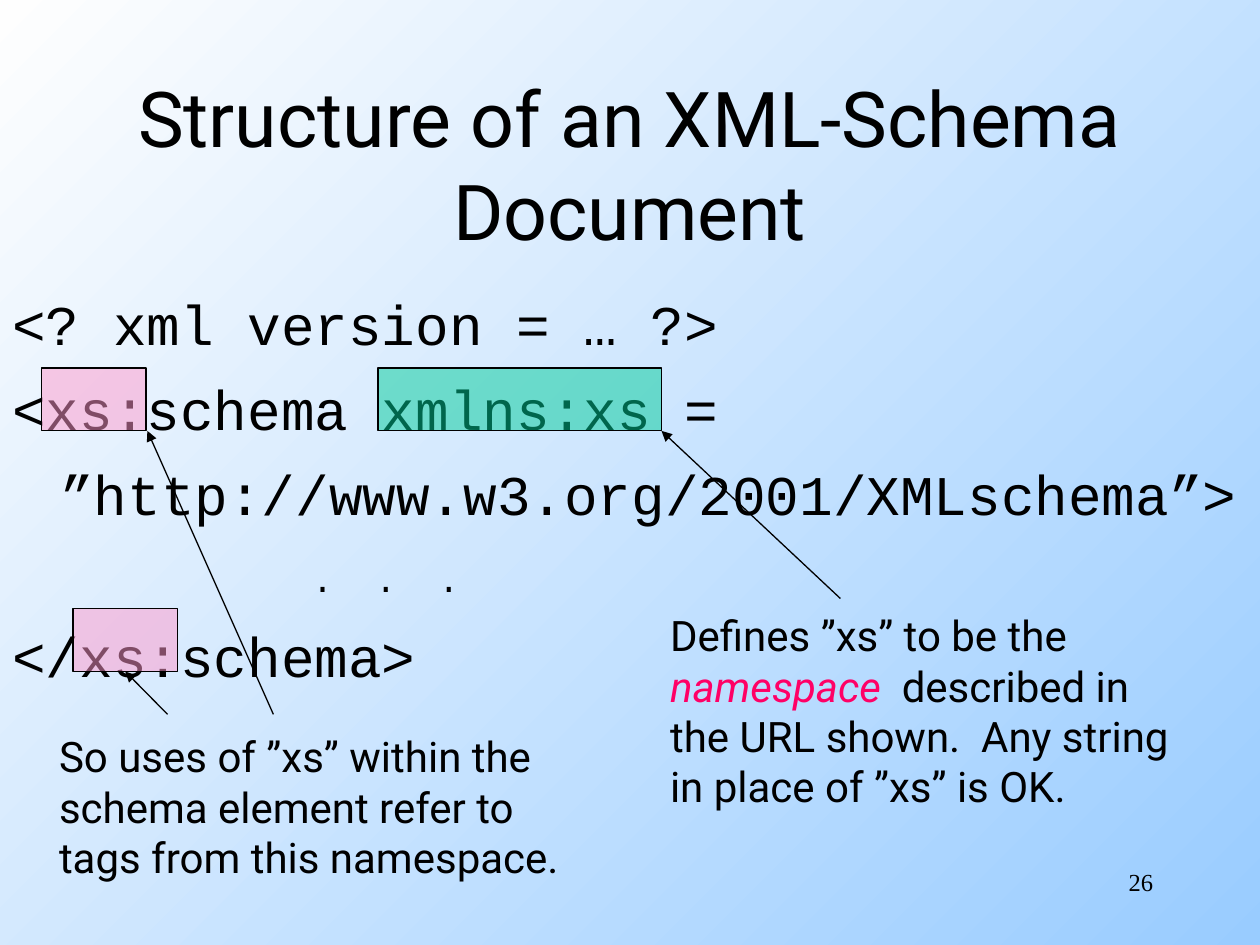
from dataclasses import dataclass

from lxml import etree
from pptx import Presentation
from pptx.dml.color import RGBColor
from pptx.enum.shapes import MSO_CONNECTOR, MSO_SHAPE
from pptx.enum.text import MSO_ANCHOR, PP_ALIGN
from pptx.oxml.ns import qn
from pptx.util import Inches, Pt

RECTANGLE = MSO_SHAPE.RECTANGLE
STRAIGHT = MSO_CONNECTOR.STRAIGHT
LEFT, CENTER, RIGHT = PP_ALIGN.LEFT, PP_ALIGN.CENTER, PP_ALIGN.RIGHT
TOP, MIDDLE = MSO_ANCHOR.TOP, MSO_ANCHOR.MIDDLE
BOTTOM_SIDE = 2


@dataclass(frozen=True)
class Theme:
    ink: str = "000000"
    accent: str = "FF0066"
    pink: str = "FF99CC"
    green: str = "00CC99"
    background: tuple = ("99CCFF", "FEFEFE")
    sans: str = "Roboto"
    mono: str = "Courier New"
    serif: str = "Times New Roman"
    title_size: int = 44
    code_size: int = 32
    note_size: int = 24
    dots_size: int = 20
    number_size: int = 14
    line_width: float = 0.75


class SlideBuilder:
    def __init__(self, page, theme):
        self.page = page
        self.theme = theme

    def background(self):
        fill = self.page.background.fill
        fill.gradient()
        fill.gradient_angle = 135
        for stop, color in zip(fill.gradient_stops, self.theme.background):
            stop.color.rgb = RGBColor.from_string(color)

    def style(self, span, font, size, color=None):
        span.font.name = font
        span.font.size = Pt(size)
        span.font.color.rgb = RGBColor.from_string(color or self.theme.ink)

    def text(self, at, text, font, size, align=LEFT, anchor=TOP, wrap=True):
        box = self.page.shapes.add_textbox(*map(Inches, at))
        frame = box.text_frame
        frame.text = text
        frame.word_wrap = wrap
        frame.vertical_anchor = anchor
        for para in frame.paragraphs:
            para.alignment = align
            for span in para.runs:
                self.style(span, font, size)
        return box

    def code(self, at, lines):
        theme = self.theme
        box = self.text(at, "\n".join(lines), theme.mono, theme.code_size)
        box.text_frame.margin_top = Inches(0.13)
        for index, para in enumerate(box.text_frame.paragraphs):
            properties = para._p.get_or_add_pPr()
            properties.set("marL", str(Inches(0.38)))
            properties.set("indent", str(Inches(-0.38)))
            if index:
                para.space_before = Pt(10)
        return box

    def highlight(self, at, color):
        shape = self.page.shapes.add_shape(RECTANGLE, *map(Inches, at))
        shape.shadow.inherit = False
        shape.fill.solid()
        shape.fill.fore_color.rgb = RGBColor.from_string(color)
        color_node = shape._element.spPr.find(qn("a:solidFill"))[0]
        etree.SubElement(color_node, qn("a:alpha"), val="50000")
        self.outline(shape.line)
        return shape

    def outline(self, line):
        line.color.rgb = RGBColor.from_string(self.theme.ink)
        line.width = Pt(self.theme.line_width)

    def arrow(self, start, end, target=None):
        arrow = self.page.shapes.add_connector(STRAIGHT, *map(Inches, start + end))
        if target is not None:
            arrow.end_connect(target, BOTTOM_SIDE)
        self.outline(arrow.line)
        properties = arrow._element.spPr
        etree.SubElement(properties.find(qn("a:ln")), qn("a:tailEnd"), type="triangle")
        etree.SubElement(properties, qn("a:effectLst"))


def main():
    theme = Theme()
    deck = Presentation()
    deck.slide_width, deck.slide_height = Inches(10), Inches(7.5)
    builder = SlideBuilder(deck.slides.add_slide(deck.slide_layouts[6]), theme)
    builder.background()

    builder.text((0.75, 0.67, 8.5, 1.25), "Structure of an XML-Schema Document",
                 theme.sans, theme.title_size, CENTER, MIDDLE)

    code = builder.code((0, 2.17, 10, 4.5), [
        "<? xml version = … ?>",
        "<xs:schema xmlns:xs =",
        "\t”http://www.w3.org/2001/XMLschema”>",
        "\t\t\t\t",
        "</xs:schema>",
    ])
    dots_line = code.text_frame.paragraphs[3]
    dots_line.space_before = Pt(6)
    dots = dots_line.add_run()
    dots.text = "\t.  .  ."
    builder.style(dots, theme.mono, theme.dots_size)

    definition = builder.text(
        (5.22, 4.79, 4.4, 1.7),
        "Defines ”xs” to be the\nnamespace \n"
        "the URL shown.  Any string\nin place of ”xs” is OK.",
        theme.sans, theme.note_size, wrap=False)
    term_line = definition.text_frame.paragraphs[1]
    term = term_line.runs[0]
    builder.style(term, theme.sans, theme.note_size, theme.accent)
    term.font.italic = True
    rest = term_line.add_run()
    rest.text = " described in"
    builder.style(rest, theme.sans, theme.note_size)

    builder.highlight((3, 2.92, 2.25, 0.5), theme.green)
    builder.arrow((6.67, 4.75), (5.25, 3.42))

    builder.highlight((0.33, 2.92, 0.83, 0.5), theme.pink)
    closing_prefix = builder.highlight((0.58, 4.83, 0.83, 0.5), theme.pink)
    builder.text((0.37, 5.75, 4.35, 1.3),
                 "So uses of ”xs” within the\nschema element refer to\n"
                 "tags from this namespace.",
                 theme.sans, theme.note_size, wrap=False)
    builder.arrow((1.33, 5.67), (1, 5.33), closing_prefix)
    builder.arrow((2.17, 5.67), (1.17, 3.42))

    builder.text((7.17, 6.83, 2.08, 0.5), "26",
                 theme.serif, theme.number_size, RIGHT)

    deck.save("out.pptx")


if __name__ == "__main__":
    main()
